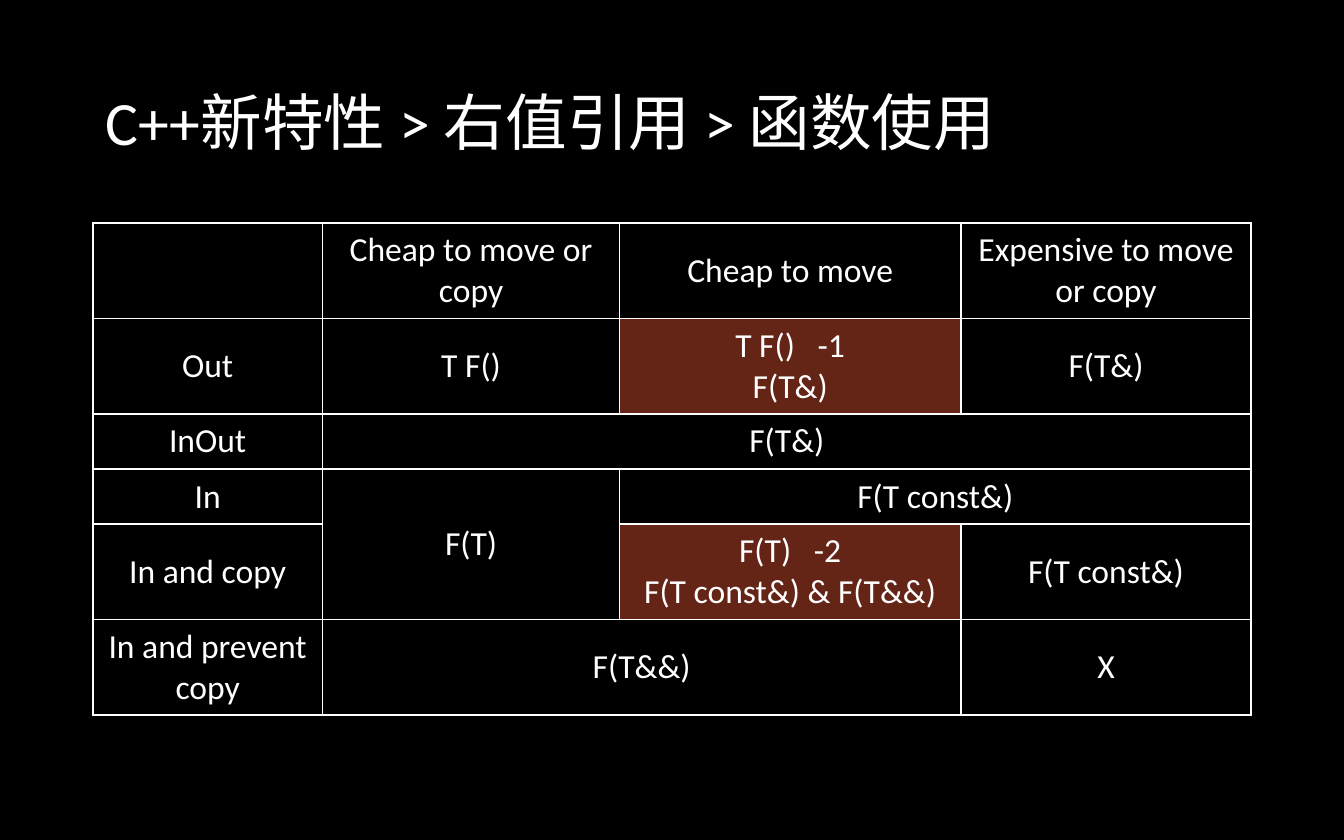
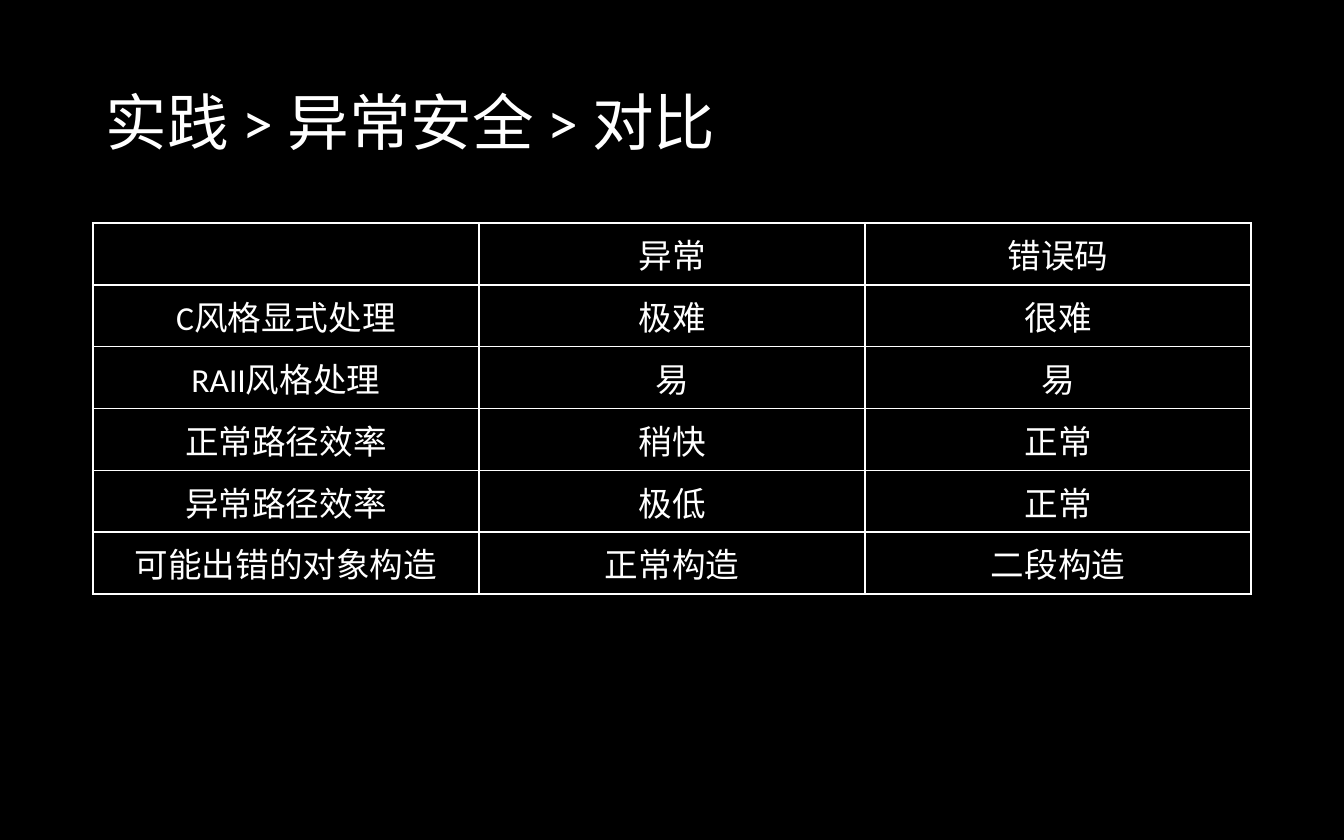
from lxml import etree
from pptx import Presentation
from pptx import util as u
from pptx.dml.color import RGBColor
from pptx.enum import text
from pptx.oxml.ns import qn

COLORS = {"background": "000000", "ink": "FFFFFF", "highlight": "642416"}
FONT = "Calibri"
LEFT, WIDTH = 0.69, 8.62
TABLE_TOP = 1.66
ONE_LINE, TWO_LINES, CHINESE_LINE = 0.41, 0.71, 0.46

PASSING_ROWS = [
    ["", "Cheap to move or copy", "Cheap to move", "Expensive to move or copy"],
    ["Out", "T F()", "T F()   -1\nF(T&)", "F(T&)"],
    ["InOut", "F(T&)", "", ""],
    ["In", "F(T)", "F(T const&)", ""],
    ["In and copy", "", "F(T)   -2\nF(T const&) & F(T&&)", "F(T const&)"],
    ["In and prevent copy", "F(T&&)", "", "X"],
]
PASSING_WIDTHS = [1.71, 2.21, 2.54, 2.16]
PASSING_HEIGHTS = [TWO_LINES] * 2 + [ONE_LINE] * 2 + [TWO_LINES] * 2
# Each merge joins the first (row, column) to the last one.
PASSING_MERGES = [((2, 1), (2, 3)), ((3, 1), (4, 1)),
                  ((3, 2), (3, 3)), ((5, 1), (5, 2))]
PASSING_HIGHLIGHTS = [(1, 2), (4, 2)]

ERROR_ROWS = [
    ["", "异常", "错误码"],
    ["C风格显式处理", "极难", "很难"],
    ["RAII风格处理", "易", "易"],
    ["正常路径效率", "稍快", "正常"],
    ["异常路径效率", "极低", "正常"],
    ["可能出错的对象构造", "正常构造", "二段构造"],
]


def color(name):
    """Look up a deck colour."""
    return RGBColor.from_string(COLORS[name])


def style_text(frame, size):
    """Apply the deck font and text colour to every run."""
    for para in frame.paragraphs:
        for span in para.runs:
            span.font.name = FONT
            span.font.size = u.Pt(size)
            span.font.color.rgb = color("ink")


def add_page(deck, title):
    """Add a dark page with its breadcrumb title."""
    page = deck.slides.add_slide(deck.slide_layouts[6])
    page.background.fill.solid()
    page.background.fill.fore_color.rgb = color("background")
    box = page.shapes.add_textbox(u.Inches(LEFT), u.Inches(0.33),
                                  u.Inches(WIDTH), u.Inches(1.21))
    frame = box.text_frame
    frame.word_wrap = True
    frame.vertical_anchor = text.MSO_ANCHOR.MIDDLE
    frame.text = title
    frame.paragraphs[0].line_spacing = 0.9
    style_text(frame, 33)
    return page


def add_borders(cell):
    """Draw a thin line on all four sides of a cell."""
    properties = cell._tc.get_or_add_tcPr()
    for side in ("lnL", "lnR", "lnT", "lnB"):
        line = etree.SubElement(properties, qn("a:" + side), w=str(u.Pt(1)))
        fill = etree.SubElement(line, qn("a:solidFill"))
        etree.SubElement(fill, qn("a:srgbClr"), val=COLORS["ink"])


def fill_cell(cell, words, highlighted):
    """Set the text, borders and fill of one cell."""
    cell.text_frame.text = words
    cell.vertical_anchor = text.MSO_ANCHOR.MIDDLE
    for para in cell.text_frame.paragraphs:
        para.alignment = text.PP_ALIGN.CENTER
    style_text(cell.text_frame, 18)
    add_borders(cell)
    if highlighted:
        cell.fill.solid()
        cell.fill.fore_color.rgb = color("highlight")
    else:
        cell.fill.background()


def add_grid(page, rows, widths, heights, merges=(), highlights=()):
    """Add a ruled table with optional merged and highlighted cells."""
    frame = page.shapes.add_table(
        len(rows), len(widths), u.Inches(LEFT), u.Inches(TABLE_TOP),
        u.Inches(WIDTH), u.Inches(sum(heights)))
    table = frame.table
    table.first_row = table.horz_banding = False
    for column, width in zip(table.columns, widths):
        column.width = u.Inches(width)
    for r, (row, height) in enumerate(zip(rows, heights)):
        table.rows[r].height = u.Inches(height)
        for c, words in enumerate(row):
            fill_cell(table.cell(r, c), words, (r, c) in highlights)
    for first, last in merges:
        table.cell(*first).merge(table.cell(*last))


def main():
    """Build and save the deck."""
    deck = Presentation()
    deck.slide_width, deck.slide_height = u.Inches(10), u.Inches(6.25)

    page = add_page(deck, "C++新特性 > 右值引用 > 函数使用")
    add_grid(page, PASSING_ROWS, PASSING_WIDTHS, PASSING_HEIGHTS,
             PASSING_MERGES, PASSING_HIGHLIGHTS)

    page = add_page(deck, "实践 > 异常安全 > 对比")
    add_grid(page, ERROR_ROWS, [WIDTH / 3] * 3,
             [CHINESE_LINE] * len(ERROR_ROWS))

    deck.save("out.pptx")


main()
